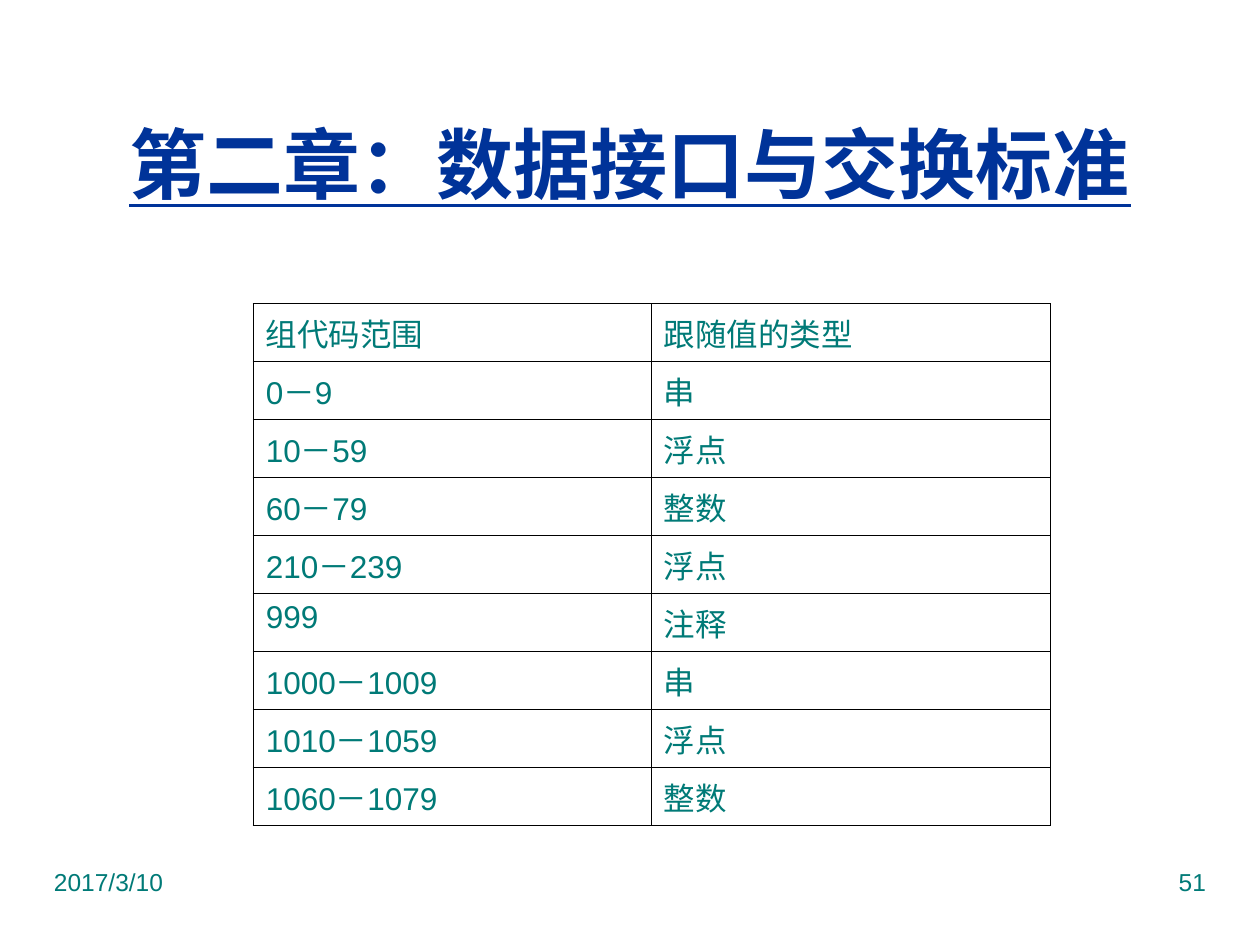
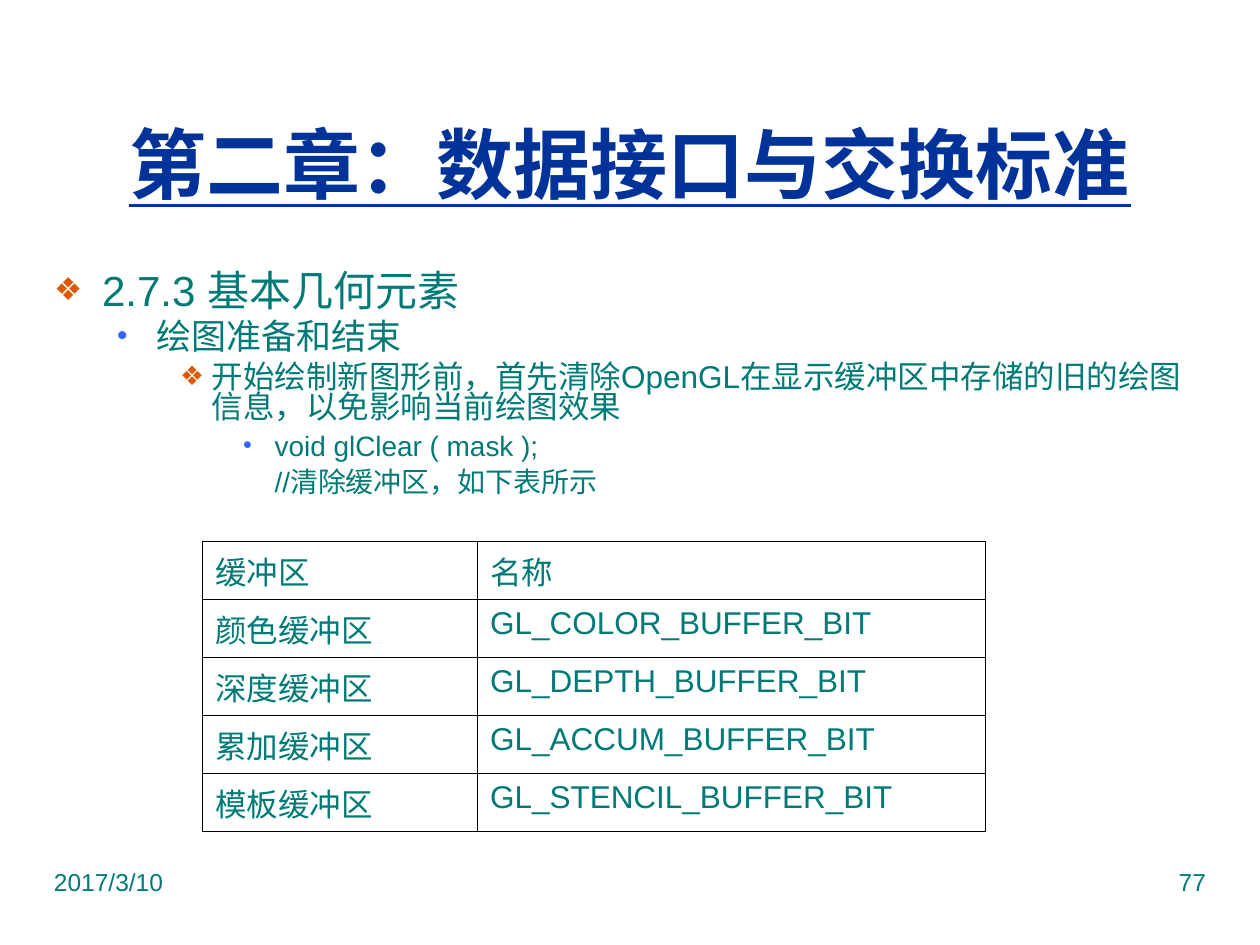
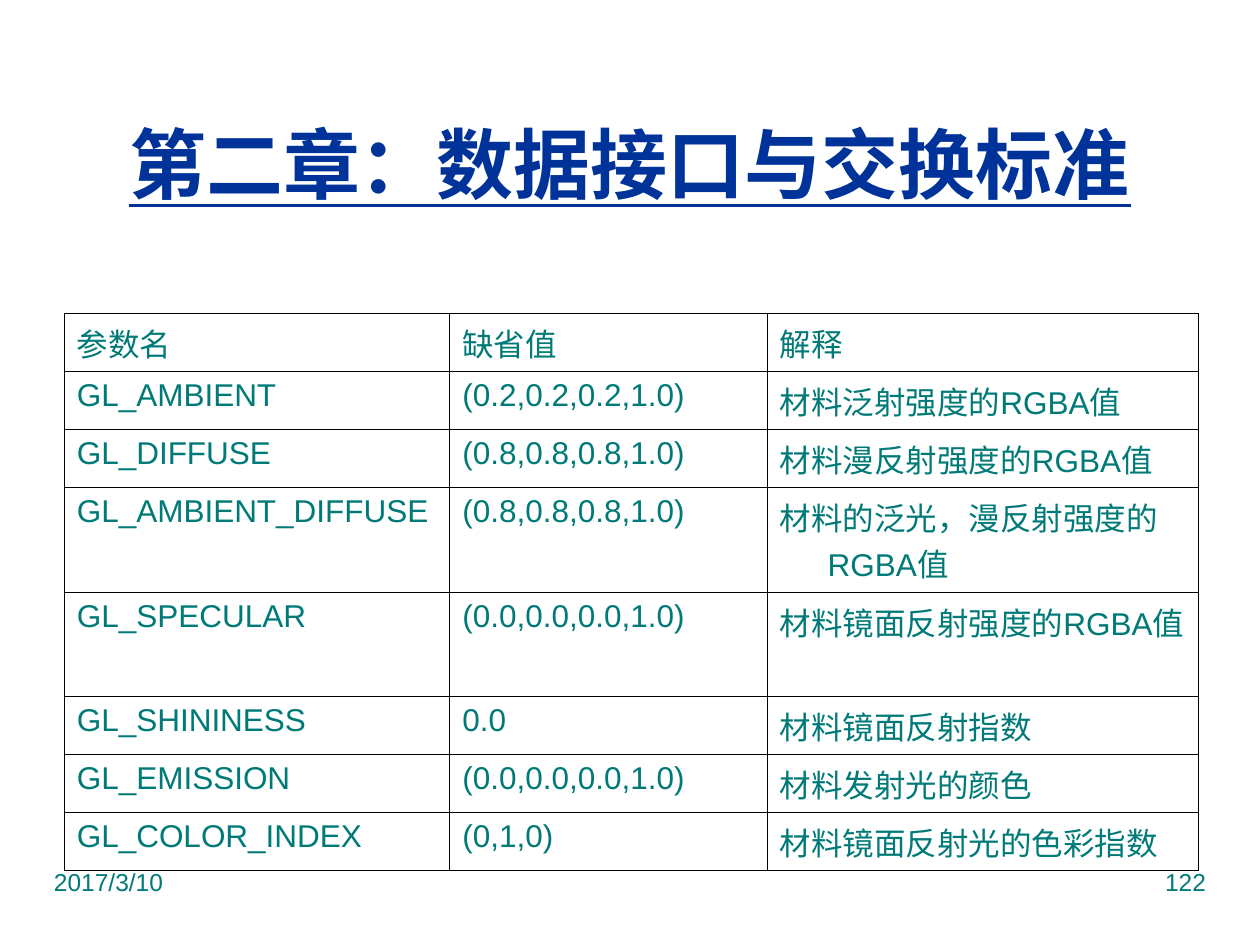
import lxml.etree
import pptx
import pptx.dml.color
import pptx.enum.lang
import pptx.enum.text
import pptx.oxml.ns
import pptx.util
from dataclasses import dataclass

Inches, Pt = pptx.util.Inches, pptx.util.Pt
ALIGN, ANCHOR = pptx.enum.text.PP_ALIGN, pptx.enum.text.MSO_ANCHOR

# Content
CHAPTER = "第二章：数据接口与交换标准"
DATE = "2017/3/10"

# Outline entries: level, text, has bullet
CLEARING_OUTLINE = [
    (0, "2.7.3 基本几何元素", True),
    (1, "绘图准备和结束", True),
    (2, "开始绘制新图形前，首先清除OpenGL在显示缓冲区中存储的旧的绘图信息，以免影响当前绘图效果", True),
    (3, "void glClear ( mask );", True),
    (3, "//清除缓冲区，如下表所示", False),
]

GROUP_CODES = [
    ("组代码范围", "跟随值的类型"),
    ("0－9", "串"),
    ("10－59", "浮点"),
    ("60－79", "整数"),
    ("210－239", "浮点"),
    ("999", "注释"),
    ("1000－1009", "串"),
    ("1010－1059", "浮点"),
    ("1060－1079", "整数"),
]
BUFFERS = [
    ("缓冲区", "名称"),
    ("颜色缓冲区", "GL_COLOR_BUFFER_BIT"),
    ("深度缓冲区", "GL_DEPTH_BUFFER_BIT"),
    ("累加缓冲区", "GL_ACCUM_BUFFER_BIT"),
    ("模板缓冲区", "GL_STENCIL_BUFFER_BIT"),
]
MATERIALS = [
    ("参数名", "缺省值", "解释"),
    ("GL_AMBIENT", "(0.2,0.2,0.2,1.0)", "材料泛射强度的RGBA值"),
    ("GL_DIFFUSE", "(0.8,0.8,0.8,1.0)", "材料漫反射强度的RGBA值"),
    ("GL_AMBIENT_DIFFUSE", "(0.8,0.8,0.8,1.0)", "材料的泛光，漫反射强度的RGBA值"),
    ("GL_SPECULAR", "(0.0,0.0,0.0,1.0)", "材料镜面反射强度的RGBA值"),
    ("GL_SHININESS", "0.0", "材料镜面反射指数"),
    ("GL_EMISSION", "(0.0,0.0,0.0,1.0)", "材料发射光的颜色"),
    ("GL_COLOR_INDEX", "(0,1,0)", "材料镜面反射光的色彩指数"),
]

# Table places: left, top, column widths, rows that hold two lines
SLIDES = [
    dict(number="51", outline=[], rows=GROUP_CODES,
         place=(2.01, 2.41, (3.16, 3.17), ())),
    dict(number="77", outline=CLEARING_OUTLINE, rows=BUFFERS,
         place=(1.61, 4.3, (2.18, 4.03), ())),
    dict(number="122", outline=[], rows=MATERIALS,
         place=(0.51, 2.49, (3.06, 2.52, 3.42), (3, 4))),
]


# Theme
@dataclass(frozen=True)
class Theme:
    font: str = "Arial"
    text: str = "007A77"
    title: str = "003399"
    border: str = "000000"
    title_size: int = 44
    table_size: int = 18
    footer_size: int = 14
    row: float = 0.46
    double_row: float = 0.83
    hanging: float = 0.38
    # Per level: size, left margin, hanging, space before, bullet, colour, percent
    levels: tuple = (
        (24, 0.38, 0.38, 0, "❖", "DC5900", 75),
        (20, 0.81, 0.31, 4.5, "•", "3366FF", 85),
        (18, 1.25, 0.25, 4.5, "❖", "DC5900", 85),
        (16, 1.75, 0.25, 5.5, "•", "3366FF", 90),
    )


THEME = Theme()


# Text helpers
def style(paragraph, size, color=THEME.text, align=ALIGN.LEFT, **emphasis):
    paragraph.alignment = align
    for run in paragraph.runs:
        run.font.name = THEME.font
        run.font.size = Pt(size)
        run.font.color.rgb = pptx.dml.color.RGBColor.from_string(color)
        run.font.language_id = pptx.enum.lang.MSO_LANGUAGE_ID.SIMPLIFIED_CHINESE
        run.font.bold = emphasis.get("bold", False)
        run.font.underline = emphasis.get("underline", False)


def add_node(parent, tag, **attributes):
    node = lxml.etree.SubElement(parent, pptx.oxml.ns.qn("a:" + tag))
    for key, value in attributes.items():
        node.set(key, str(value))
    return node


def indent(paragraph, margin, hanging):
    properties = paragraph._p.get_or_add_pPr()
    properties.set("marL", str(Inches(margin)))
    properties.set("indent", str(-Inches(hanging)))
    return properties


def move(shape, left, top, width, height):
    shape.left, shape.top = Inches(left), Inches(top)
    shape.width, shape.height = Inches(width), Inches(height)


# Shared slide parts
def add_title(slide):
    title = slide.shapes.title
    move(title, 0.33, 0.67, 9.34, 1.25)
    title.text_frame.text = CHAPTER
    title.text_frame.auto_size = pptx.enum.text.MSO_AUTO_SIZE.NONE
    title.text_frame.vertical_anchor = ANCHOR.MIDDLE
    style(title.text_frame.paragraphs[0], THEME.title_size, THEME.title,
          ALIGN.CENTER, bold=True, underline=True)


def add_footer(slide, number):
    for left, text, align in ((0.33, DATE, ALIGN.LEFT), (7.17, number, ALIGN.RIGHT)):
        footer = slide.shapes.add_textbox(
            Inches(left), Inches(6.83), Inches(2.5), Inches(0.52)).text_frame
        footer.word_wrap = True
        footer.text = text
        style(footer.paragraphs[0], THEME.footer_size, align=align)


# Outline
def fill_outline(body, outline):
    move(body, 0.33, 2.13, 9.34, 4.54)
    frame = body.text_frame
    frame.text = "\n".join(text for _, text, _ in outline)
    frame.auto_size = pptx.enum.text.MSO_AUTO_SIZE.NONE
    for paragraph, (level, _, bulleted) in zip(frame.paragraphs, outline):
        size, margin, hanging, before, bullet, color, percent = THEME.levels[level]
        paragraph.level = level
        properties = indent(paragraph, margin, hanging if bulleted else 0)
        if bulleted:
            add_node(add_node(properties, "buClr"), "srgbClr", val=color)
            add_node(properties, "buSzPct", val=percent * 1000)
            add_node(properties, "buFont", typeface=THEME.font)
            add_node(properties, "buChar", char=bullet)
        else:
            add_node(properties, "buNone")
        paragraph.line_spacing = 0.8
        paragraph.space_before = Pt(before)
        style(paragraph, size)


# Tables
def add_grid(slide, rows, place):
    left, top, widths, double_rows = place
    heights = [THEME.double_row if i in double_rows else THEME.row
               for i in range(len(rows))]
    grid = slide.shapes.add_table(
        len(rows), len(widths), Inches(left), Inches(top),
        Inches(sum(widths)), Inches(sum(heights))).table
    grid.first_row = grid.horz_banding = False
    for column, width in zip(grid.columns, widths):
        column.width = Inches(width)
    for row, height, texts in zip(grid.rows, heights, rows):
        row.height = Inches(height)
        for cell, text in zip(row.cells, texts):
            cell.text_frame.text = text
            indent(cell.text_frame.paragraphs[0], THEME.hanging, THEME.hanging)
            style(cell.text_frame.paragraphs[0], THEME.table_size)
            for side in ("lnL", "lnR", "lnT", "lnB"):
                line = add_node(cell._tc.get_or_add_tcPr(), side, w=Pt(0.75))
                add_node(add_node(line, "solidFill"), "srgbClr", val=THEME.border)
            cell.fill.background()


def main():
    deck = pptx.Presentation()
    deck.slide_width, deck.slide_height = Inches(10), Inches(7.5)
    for content in SLIDES:
        # Layout 1 has a title and a body, layout 5 only a title
        layout = deck.slide_layouts[1 if content["outline"] else 5]
        slide = deck.slides.add_slide(layout)
        add_footer(slide, content["number"])
        add_title(slide)
        if content["outline"]:
            fill_outline(slide.placeholders[1], content["outline"])
        add_grid(slide, content["rows"], content["place"])
    deck.save("out.pptx")


if __name__ == "__main__":
    main()
